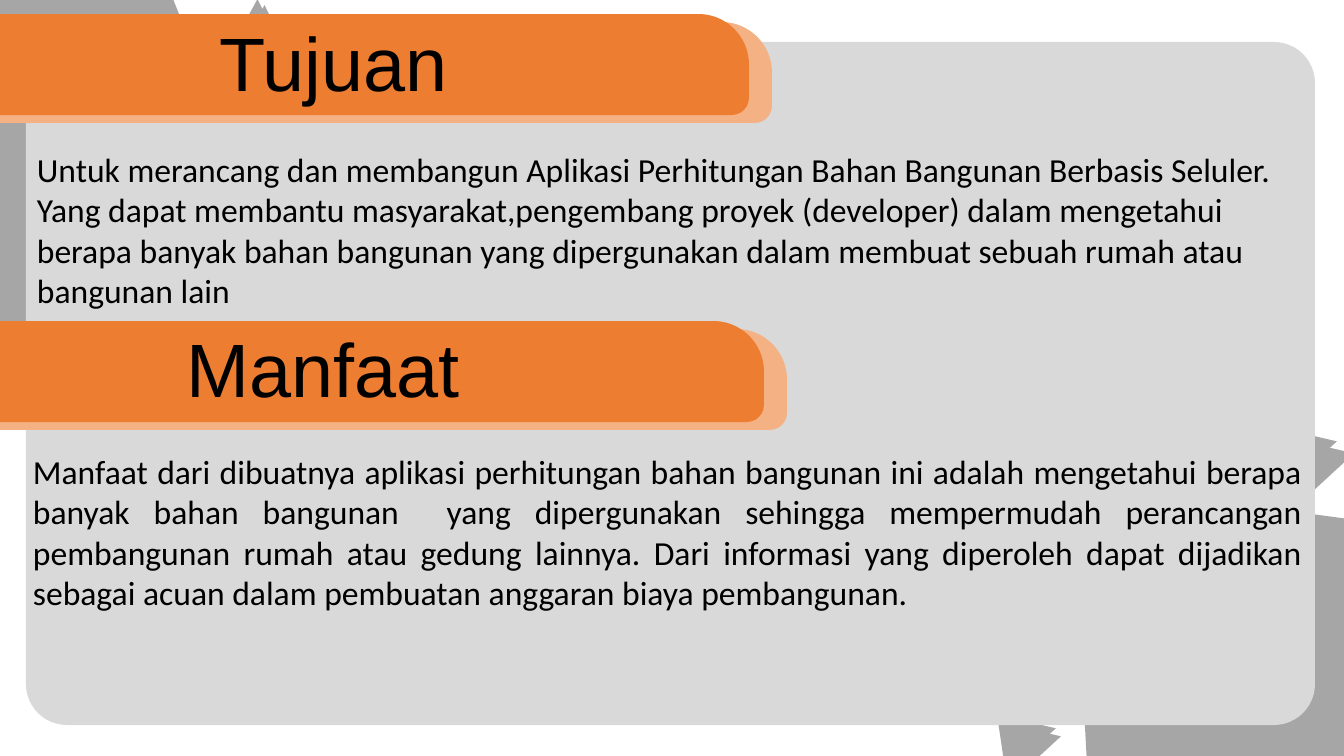
"""Build the slide on the aims and benefits of a building-material calculator."""
from pptx import Presentation
from pptx.dml.color import RGBColor
from pptx.enum.shapes import MSO_SHAPE as Shape
from pptx.enum.text import MSO_ANCHOR as Anchor, PP_ALIGN as Align
from pptx.util import Pt

PX = 914400 / 100.8
COLORS = {"shard": "A6A6A6", "panel": "D9D9D9", "banner": "ED7D31",
          "banner_edge": "F4B183", "text": "000000"}

deck = Presentation()
deck.slide_width, deck.slide_height = round(1344 * PX), round(756 * PX)
slide = deck.slides.add_slide(deck.slide_layouts[6])


def add_block(kind, box, color, adjustments=(), rotation=0):
    block = slide.shapes.add_shape(kind, *[round(v * PX) for v in box])
    block.shadow.inherit = False
    block.fill.solid()
    block.fill.fore_color.rgb = RGBColor.from_string(COLORS[color])
    block.line.fill.background()
    block.rotation = rotation
    for i, value in enumerate(adjustments):
        block.adjustments[i] = value


def add_text(text, box, font="Calibri", size=24, align=Align.LEFT, wrap=True):
    frame = slide.shapes.add_textbox(*[round(v * PX) for v in box]).text_frame
    frame.word_wrap = wrap
    frame.vertical_anchor = Anchor.TOP
    paragraph = frame.paragraphs[0]
    paragraph.alignment = align
    run = paragraph.add_run()
    run.text = text
    run.font.name, run.font.size = font, Pt(size)
    run.font.color.rgb = RGBColor.from_string(COLORS["text"])


large, small = (740, 447), (68, 50)
shard_groups = [
    (118.8, [(-276, -26, large), (-276, -37, large),
             (229, 16, small), (236, 22, small)]),
    (317.3, [(1261, 421, small), (858, 423, large), (854, 434, large),
             (985, 716, small), (1278, 433, small), (980, 708, small)]),
]
for angle, shards in shard_groups:
    for left, top, size in shards:
        add_block(Shape.ISOSCELES_TRIANGLE, (left, top, *size), "shard", rotation=angle)

add_block(Shape.ROUNDED_RECTANGLE, (26, 42, 1289, 683), "panel", [0.06])

aim = ("Untuk merancang dan membangun Aplikasi Perhitungan Bahan Bangunan Berbasis "
       "Seluler. Yang dapat membantu masyarakat,pengembang proyek (developer) dalam "
       "mengetahui berapa banyak bahan bangunan yang dipergunakan dalam membuat "
       "sebuah rumah atau bangunan lain")
benefit = ("Manfaat dari dibuatnya aplikasi perhitungan bahan bangunan ini adalah "
           "mengetahui berapa banyak bahan bangunan  yang dipergunakan sehingga "
           "mempermudah perancangan pembangunan rumah atau gedung lainnya. Dari "
           "informasi yang diperoleh dapat dijadikan sebagai acuan dalam pembuatan "
           "anggaran biaya pembangunan.")
sections = [
    ("Tujuan", (208, 11, 251, 102), (-184, 14), aim, (27, 144, 1289, 173), Align.LEFT),
    ("Manfaat", (175, 317, 296, 102), (-169, 321), benefit, (23, 446, 1289, 173), Align.JUSTIFY),
]
for heading, heading_box, (left, top), body, body_box, body_align in sections:
    for color, dx, dy in [("banner_edge", 23, 8), ("banner", 0, 0)]:
        add_block(Shape.ROUND_2_DIAG_RECTANGLE, (left + dx, top + dy, 933, 101),
                  color, [0.17, 0.5])
    add_text(heading, heading_box, font="Arial", size=54, align=Align.CENTER, wrap=False)
    add_text(body, body_box, align=body_align)

deck.save("out.pptx")
